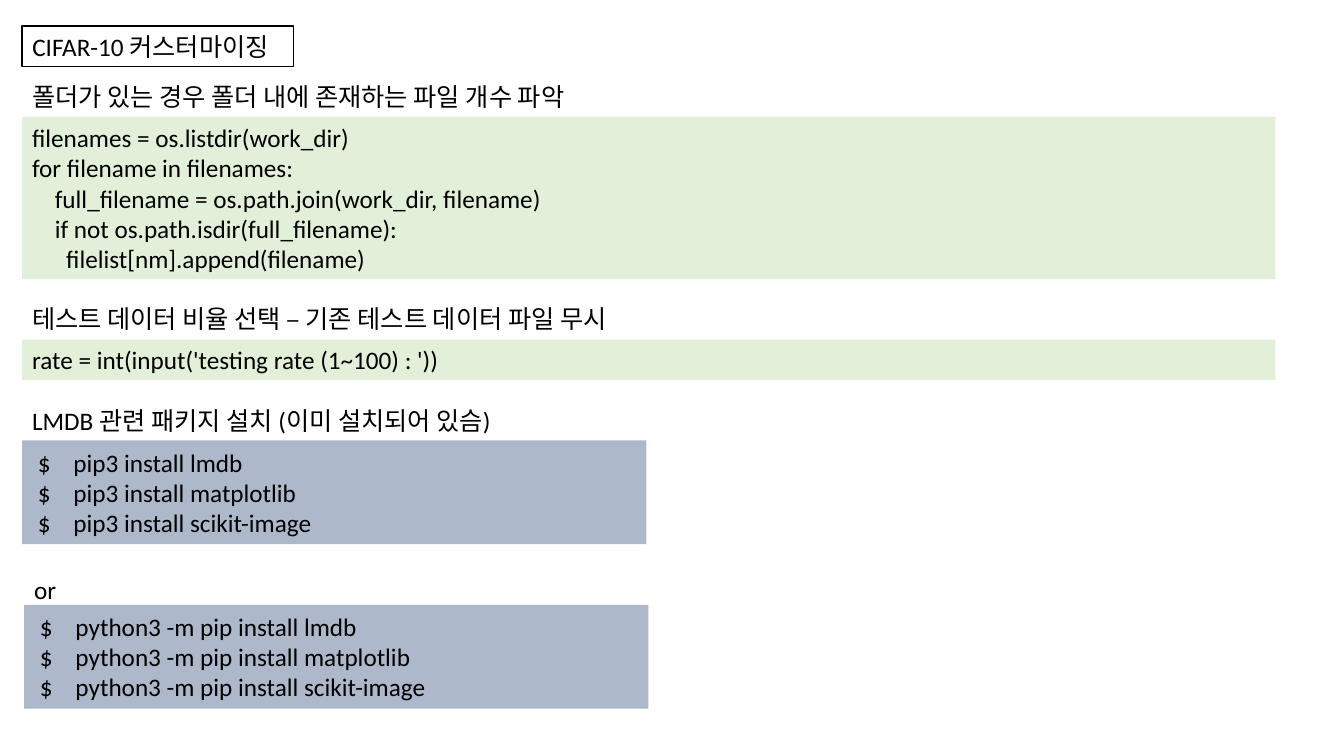
"""Build the CIFAR-10 customizing slide with its code and command blocks."""
from dataclasses import dataclass

import pptx
import pptx.dml.color
import pptx.enum.shapes
import pptx.enum.text
import pptx.oxml
import pptx.oxml.ns
import pptx.util

PX = 9144
LEFT = 22
LOWER_LEFT = 24
CODE_WIDTH = 1243
COMMAND_WIDTH = 619
LINE_HEIGHT = 40
COMMAND_HEIGHT = 103
COMMAND_TAB = 41
TITLE_LAYOUT = 5
BLACK = pptx.dml.color.RGBColor(0x00, 0x00, 0x00)
WHITE = pptx.dml.color.RGBColor(0xFF, 0xFF, 0xFF)
CODE_GREEN = pptx.dml.color.RGBColor(0xE2, 0xF0, 0xD9)
COMMAND_BLUE = pptx.dml.color.RGBColor(0xAD, 0xB9, 0xCA)
PACKAGES = ("lmdb", "matplotlib", "scikit-image")


@dataclass(frozen=True)
class Label:
    left: int
    top: int
    width: int
    text: str


@dataclass(frozen=True)
class Block:
    left: int
    top: int
    width: int
    height: int
    color: pptx.dml.color.RGBColor
    lines: tuple[str, ...]


def install_lines(command: str) -> tuple[str, ...]:
    return tuple(f" $\t{command} install {package}" for package in PACKAGES)


TITLE = Label(LEFT, 26, 269, "CIFAR-10 커스터마이징")
LABELS = (
    Label(LEFT, 76, 597, "폴더가 있는 경우 폴더 내에 존재하는 파일 개수 파악"),
    Label(LEFT, 296, 640, "테스트 데이터 비율 선택 – 기존 테스트 데이터 파일 무시"),
    Label(LEFT, 397, 509, "LMDB 관련 패키지 설치 (이미 설치되어 있슴)"),
    Label(LOWER_LEFT, 565, 66, "or"),
)
BLOCKS = (
    Block(LEFT, 116, CODE_WIDTH, 161, CODE_GREEN, (
        "filenames = os.listdir(work_dir)",
        "for filename in filenames:",
        "    full_filename = os.path.join(work_dir, filename)",
        "    if not os.path.isdir(full_filename):",
        "      filelist[nm].append(filename)",
    )),
    Block(LEFT, 337, CODE_WIDTH, LINE_HEIGHT, CODE_GREEN,
          ("rate = int(input('testing rate (1~100) : '))",)),
    Block(LEFT, 437, COMMAND_WIDTH, COMMAND_HEIGHT, COMMAND_BLUE,
          install_lines("pip3")),
    Block(LOWER_LEFT, 600, COMMAND_WIDTH, COMMAND_HEIGHT, COMMAND_BLUE,
          install_lines("python3 -m pip")),
)


def add_tab_stop(paragraph, position: int) -> None:
    properties = paragraph._p.get_or_add_pPr()
    properties.append(pptx.oxml.parse_xml(
        f'<a:tabLst {pptx.oxml.ns.nsdecls("a")}>'
        f'<a:tab pos="{position * PX}" algn="l"/></a:tabLst>'))


def write_lines(shape, lines: tuple[str, ...], anchor, wrap: bool) -> None:
    frame = shape.text_frame
    frame.text = "\n".join(lines)
    frame.word_wrap = wrap
    frame.auto_size = pptx.enum.text.MSO_AUTO_SIZE.NONE
    frame.vertical_anchor = anchor
    for paragraph in frame.paragraphs:
        paragraph.alignment = pptx.enum.text.PP_ALIGN.LEFT
        if "\t" in paragraph.text:
            add_tab_stop(paragraph, COMMAND_TAB)
        for run in paragraph.runs:
            run.font.name = "Calibri"
            run.font.size = pptx.util.Pt(18)
            run.font.color.rgb = BLACK


def format_title(shape, label: Label) -> None:
    shape.left, shape.top = label.left * PX, label.top * PX
    shape.width, shape.height = label.width * PX, LINE_HEIGHT * PX
    shape.fill.solid()
    shape.fill.fore_color.rgb = WHITE
    shape.line.color.rgb = BLACK
    shape.line.width = pptx.util.Pt(1)
    write_lines(shape, (label.text,), pptx.enum.text.MSO_ANCHOR.TOP, True)


def add_label(slide, label: Label) -> None:
    shape = slide.shapes.add_textbox(
        label.left * PX, label.top * PX, label.width * PX, LINE_HEIGHT * PX)
    write_lines(shape, (label.text,), pptx.enum.text.MSO_ANCHOR.TOP, True)


def add_block(slide, block: Block) -> None:
    shape = slide.shapes.add_shape(
        pptx.enum.shapes.MSO_SHAPE.RECTANGLE,
        block.left * PX, block.top * PX, block.width * PX, block.height * PX)
    shape.shadow.inherit = False
    shape.fill.solid()
    shape.fill.fore_color.rgb = block.color
    shape.line.fill.background()
    write_lines(shape, block.lines, pptx.enum.text.MSO_ANCHOR.MIDDLE, True)


def main() -> None:
    presentation = pptx.Presentation()
    presentation.slide_width = 1333 * PX
    presentation.slide_height = 750 * PX
    slide = presentation.slides.add_slide(
        presentation.slide_layouts[TITLE_LAYOUT])
    format_title(slide.shapes.title, TITLE)
    for block in BLOCKS:
        add_block(slide, block)
    for label in LABELS:
        add_label(slide, label)
    presentation.save("out.pptx")


if __name__ == "__main__":
    main()
